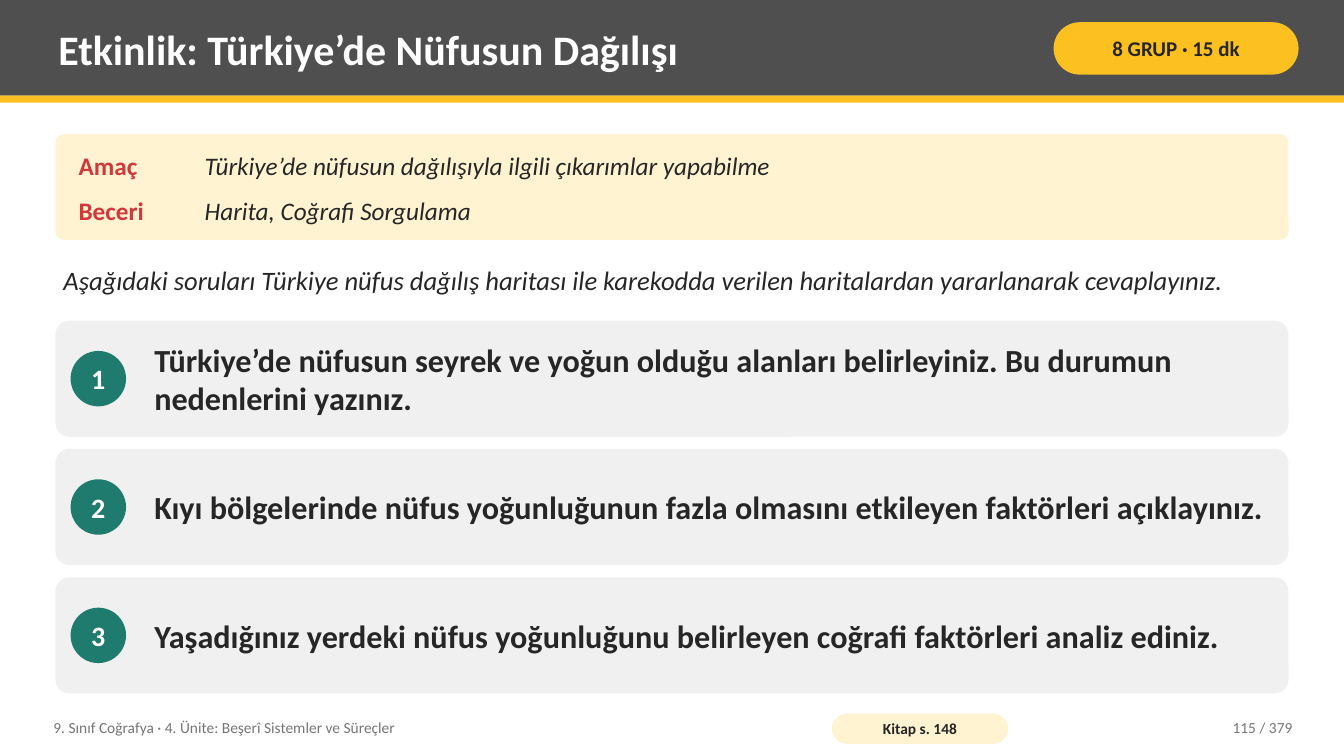
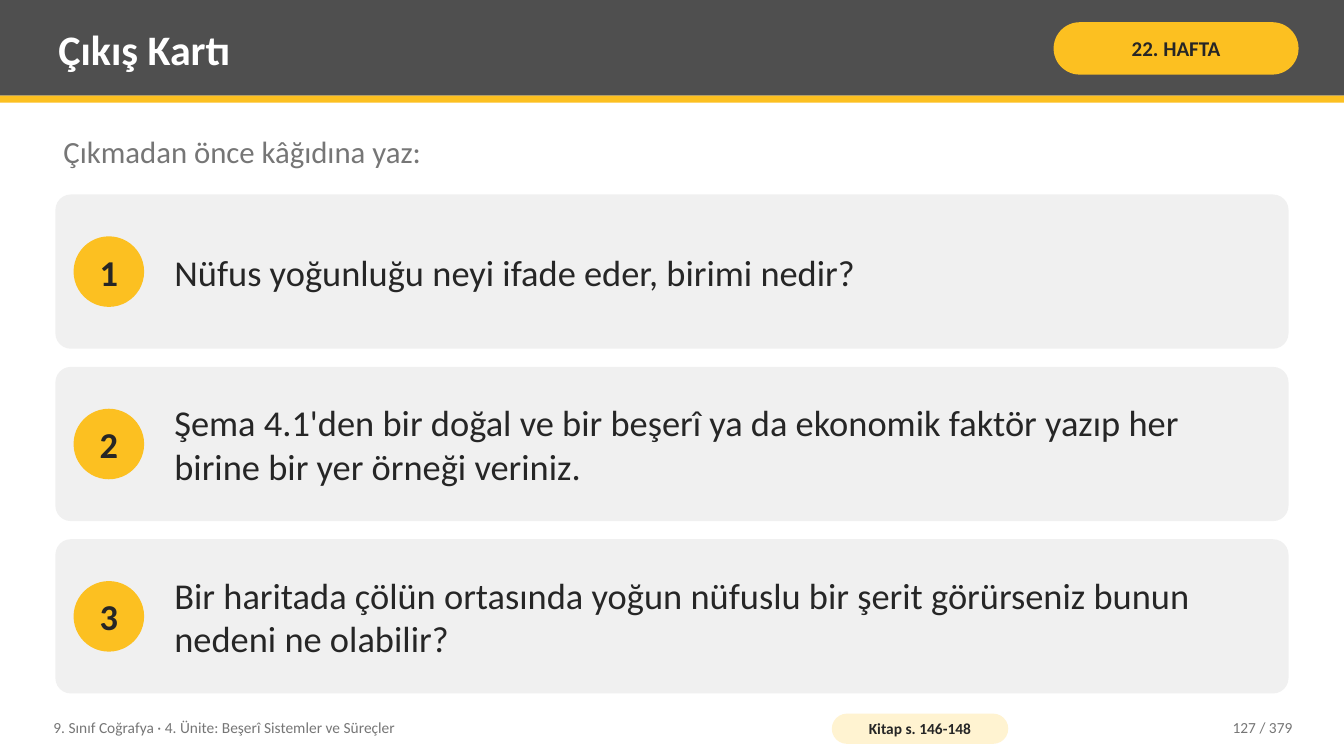
"""Build two geography lesson slides: a group activity and an exit card."""
from dataclasses import dataclass

from pptx import Presentation
from pptx.dml.color import RGBColor
from pptx.enum import shapes, text
from pptx.util import Inches, Pt

LEFT, CENTER, RIGHT = text.PP_ALIGN.LEFT, text.PP_ALIGN.CENTER, text.PP_ALIGN.RIGHT
MIDDLE, TOP = text.MSO_ANCHOR.MIDDLE, text.MSO_ANCHOR.TOP
RECT = shapes.MSO_SHAPE.RECTANGLE
ROUND = shapes.MSO_SHAPE.ROUNDED_RECTANGLE
OVAL = shapes.MSO_SHAPE.OVAL


@dataclass(frozen=True)
class Theme:
    """Colours, type sizes and page measures shared by the slides."""
    font: str = "Calibri"
    band: str = "4F4F4F"
    accent: str = "FCC021"
    cream: str = "FFF3D1"
    card: str = "F0F0F0"
    teal: str = "1E7B6E"
    red: str = "D3373A"
    ink: str = "262626"
    muted: str = "767676"
    white: str = "FFFFFF"
    title_size: int = 30
    tag_size: int = 15
    goal_size: int = 18
    direction_size: int = 19
    prompt_size: int = 22
    footer_size: int = 11
    width: float = 13.33
    height: float = 7.5
    margin: float = 0.55
    content_width: float = 12.23
    content_bottom: float = 6.88


THEME = Theme()


@dataclass(frozen=True)
class CardStyle:
    """Look and spacing of a stack of numbered question cards."""
    top: float
    gap: float
    corner: float
    badge_left: float
    badge_size: float
    badge_fill: str
    number_size: int
    number_color: str
    text_left: float
    text_right: float
    text_size: int
    bold: bool


ACTIVITY_CARDS = CardStyle(
    top=3.18, gap=0.12, corner=0.12, badge_left=0.7, badge_size=0.55,
    badge_fill=THEME.teal, number_size=20, number_color=THEME.white,
    text_left=1.45, text_right=12.63, text_size=23, bold=True)
EXIT_CARDS = CardStyle(
    top=1.93, gap=0.18, corner=0.1, badge_left=0.73, badge_size=0.7,
    badge_fill=THEME.accent, number_size=26, number_color=THEME.ink,
    text_left=1.65, text_right=12.58, text_size=26, bold=False)


def write(shape, wording, size, color, bold=False, italic=False, align=LEFT,
          anchor=MIDDLE, insets=(0.08, 0.04), wrap=True):
    """Put one formatted run into a shape's text frame."""
    frame = shape.text_frame
    frame.auto_size = text.MSO_AUTO_SIZE.NONE
    frame.word_wrap = wrap
    frame.vertical_anchor = anchor
    frame.margin_left = frame.margin_right = Inches(insets[0])
    frame.margin_top = frame.margin_bottom = Inches(insets[1])
    paragraph = frame.paragraphs[0]
    paragraph.alignment = align
    run = paragraph.add_run()
    run.text = wording
    run.font.name = THEME.font
    run.font.size = Pt(size)
    run.font.bold = bold
    run.font.italic = italic
    run.font.color.rgb = RGBColor.from_string(color)


def add_label(slide, box, wording, size, color, **style):
    """Add a text box holding one run."""
    label = slide.shapes.add_textbox(*map(Inches, box))
    write(label, wording, size, color, **style)


def add_panel(slide, kind, box, fill, corner=None):
    """Add a flat filled shape without outline."""
    panel = slide.shapes.add_shape(kind, *map(Inches, box))
    panel.shadow.inherit = False
    panel.fill.solid()
    panel.fill.fore_color.rgb = RGBColor.from_string(fill)
    panel.line.fill.background()
    if corner is not None:
        panel.adjustments[0] = corner
    return panel


def add_pill(slide, box, fill, wording, size, insets):
    """Add a fully rounded tag with bold centred text."""
    pill = add_panel(slide, ROUND, box, fill, 0.5)
    write(pill, wording, size, THEME.ink, bold=True, align=CENTER, insets=insets)


def add_header(slide, heading, tag):
    """Add the title band, its rule, the title and the tag."""
    add_panel(slide, RECT, (0, 0, THEME.width, 0.95), THEME.band)
    add_panel(slide, RECT, (0, 0.95, THEME.width, 0.07), THEME.accent)
    title = slide.shapes.title
    title.left, title.top, title.width, title.height = map(Inches, (0.5, 0.07, 9.75, 0.82))
    write(title, heading, THEME.title_size, THEME.white, bold=True)
    slide.shapes.element.append(title.element)
    add_pill(slide, (10.45, 0.22, 2.43, 0.52), THEME.accent, tag,
             THEME.tag_size, (0.05, 0.02))


def add_footer(slide, book_pages, page):
    """Add the unit name, the book reference and the page count."""
    add_label(slide, (0.45, 7.04, 7.6, 0.36),
              "9. Sınıf Coğrafya · 4. Ünite: Beşerî Sistemler ve Süreçler",
              THEME.footer_size, THEME.muted)
    add_pill(slide, (8.25, 7.08, 1.75, 0.3), THEME.cream, f"Kitap s. {book_pages}",
             THEME.footer_size, (0.04, 0))
    add_label(slide, (11.3, 7.04, 1.6, 0.36), f"{page} / 379",
              THEME.footer_size, THEME.muted, align=RIGHT)


def add_goals(slide, goals):
    """Add the cream panel of named goals."""
    add_panel(slide, ROUND, (THEME.margin, 1.33, THEME.content_width, 1.05),
              THEME.cream, 0.08)
    for row, (name, goal) in enumerate(goals):
        top = 1.4 + row * 0.45
        add_label(slide, (0.7, top, 1.25, 0.48), name, THEME.goal_size,
                  THEME.red, bold=True)
        add_label(slide, (1.95, top, 10.63, 0.48), goal, THEME.goal_size,
                  THEME.ink, italic=True)


def add_cards(slide, questions, style):
    """Stack numbered question cards down to the content bottom."""
    count = len(questions)
    height = (THEME.content_bottom - style.top - style.gap * (count - 1)) / count
    for index, question in enumerate(questions):
        top = style.top + index * (height + style.gap)
        add_panel(slide, ROUND, (THEME.margin, top, THEME.content_width, height),
                  THEME.card, style.corner)
        badge_top = top + (height - style.badge_size) / 2
        badge = add_panel(slide, OVAL, (style.badge_left, badge_top, style.badge_size,
                                        style.badge_size), style.badge_fill)
        write(badge, str(index + 1), style.number_size, style.number_color,
              bold=True, align=CENTER, insets=(0, 0), wrap=False)
        add_label(slide, (style.text_left, top, style.text_right - style.text_left, height),
                  question, style.text_size, THEME.ink, bold=style.bold)


def add_lesson_slide(deck, heading, tag):
    """Add a title-only slide with the shared header."""
    slide = deck.slides.add_slide(deck.slide_layouts.get_by_name("Title Only"))
    add_header(slide, heading, tag)
    return slide


def build_activity(deck):
    """Build the group activity slide."""
    slide = add_lesson_slide(deck, "Etkinlik: Türkiye’de Nüfusun Dağılışı", "8 GRUP · 15 dk")
    add_goals(slide, [
        ("Amaç", "Türkiye’de nüfusun dağılışıyla ilgili çıkarımlar yapabilme"),
        ("Beceri", "Harita, Coğrafi Sorgulama"),
    ])
    add_label(slide, (THEME.margin, 2.48, THEME.content_width, 0.6),
              "Aşağıdaki soruları Türkiye nüfus dağılış haritası ile karekodda verilen "
              "haritalardan yararlanarak cevaplayınız.",
              THEME.direction_size, THEME.ink, italic=True)
    add_cards(slide, [
        "Türkiye’de nüfusun seyrek ve yoğun olduğu alanları belirleyiniz. "
        "Bu durumun nedenlerini yazınız.",
        "Kıyı bölgelerinde nüfus yoğunluğunun fazla olmasını etkileyen faktörleri açıklayınız.",
        "Yaşadığınız yerdeki nüfus yoğunluğunu belirleyen coğrafi faktörleri analiz ediniz.",
    ], ACTIVITY_CARDS)
    add_footer(slide, "148", 115)


def build_exit_card(deck):
    """Build the exit card slide."""
    slide = add_lesson_slide(deck, "Çıkış Kartı", "22. HAFTA")
    add_label(slide, (THEME.margin, 1.28, THEME.content_width, 0.55),
              "Çıkmadan önce kâğıdına yaz:", THEME.prompt_size, THEME.muted, anchor=TOP)
    add_cards(slide, [
        "Nüfus yoğunluğu neyi ifade eder, birimi nedir?",
        "Şema 4.1'den bir doğal ve bir beşerî ya da ekonomik faktör yazıp "
        "her birine bir yer örneği veriniz.",
        "Bir haritada çölün ortasında yoğun nüfuslu bir şerit görürseniz "
        "bunun nedeni ne olabilir?",
    ], EXIT_CARDS)
    add_footer(slide, "146-148", 127)


def main():
    """Create the deck and save it."""
    deck = Presentation()
    deck.slide_width = Inches(THEME.width)
    deck.slide_height = Inches(THEME.height)
    build_activity(deck)
    build_exit_card(deck)
    deck.save("out.pptx")


if __name__ == "__main__":
    main()
